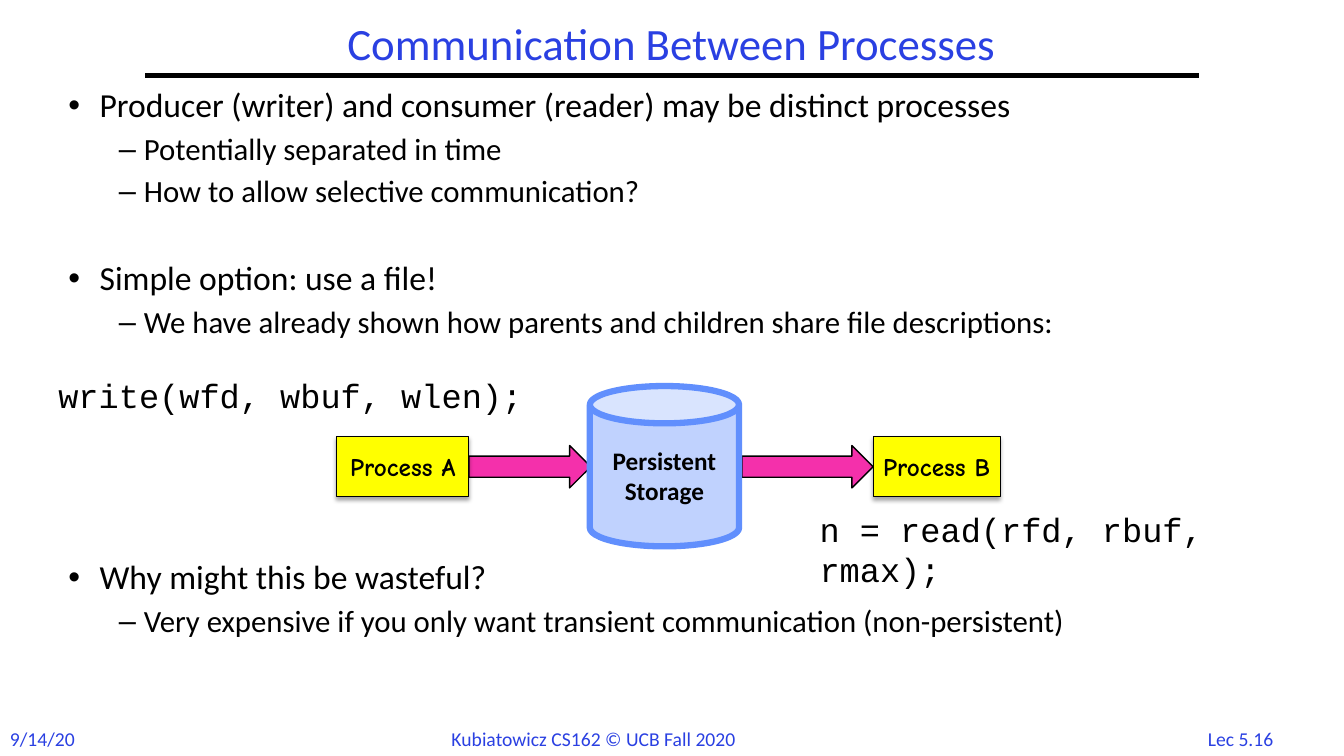
"""Build the slide on communication between processes."""
from lxml import etree
from pptx import Presentation
from pptx.dml.color import RGBColor
from pptx.enum.shapes import MSO_CONNECTOR, MSO_SHAPE
from pptx.enum.text import MSO_ANCHOR, PP_ALIGN
from pptx.oxml.ns import qn
from pptx.util import Inches, Pt

RECT, CAN, ARROW = MSO_SHAPE.RECTANGLE, MSO_SHAPE.CAN, MSO_SHAPE.RIGHT_ARROW
LINE = MSO_CONNECTOR.STRAIGHT
LEFT, CENTER = PP_ALIGN.LEFT, PP_ALIGN.CENTER
TOP, MIDDLE = MSO_ANCHOR.TOP, MSO_ANCHOR.MIDDLE
SANS, COMIC, MONO = "Calibri", "Comic Neue", "Courier New"
BLACK, BLUE, YELLOW, PINK = "000000", "2A40E2", "FFFF00", "F430AB"
PALE, EDGE = "C0D2FE", "618FFD"


def color(code):
    return RGBColor.from_string(code)


class Deck:
    def __init__(self):
        self.prs = Presentation()
        self.prs.slide_width, self.prs.slide_height = Inches(13.33), Inches(7.5)
        self.slide = self.prs.slides.add_slide(self.prs.slide_layouts[6])

    def add_text(self, para, text, size, font=SANS, ink=BLACK, bold=False):
        run = para.add_run()
        run.text = text
        run.font.size, run.font.name, run.font.bold = Pt(size), font, bold
        run.font.color.rgb = color(ink)

    def frame(self, box, wrap=True, anchor=TOP):
        frame = box.text_frame
        frame.word_wrap, frame.vertical_anchor = wrap, anchor
        return frame

    def label(self, place, text, size, font=SANS, ink=BLACK, align=LEFT,
              anchor=TOP, wrap=True, space=1.0):
        box = self.slide.shapes.add_textbox(*map(Inches, place))
        para = self.frame(box, wrap, anchor).paragraphs[0]
        para.alignment, para.line_spacing = align, space
        self.add_text(para, text, size, font, ink)

    def bullets(self, place, items):
        box = self.slide.shapes.add_textbox(*map(Inches, place))
        frame = self.frame(box)
        for i, (level, gap, text) in enumerate(items):
            para = frame.add_paragraph() if i else frame.paragraphs[0]
            left, hang, mark, size = [(0.31, 0.31, "•", 24), (0.75, 0.25, "–", 22)][level]
            para.level, para.line_spacing = level, 0.9
            if gap:
                para.space_before = Pt(gap)
            props = para._p.get_or_add_pPr()
            props.set("marL", str(Inches(left)))
            props.set("indent", str(-Inches(hang)))
            etree.SubElement(props, qn("a:buFont")).set("typeface", "Arial")
            etree.SubElement(props, qn("a:buChar")).set("char", mark)
            self.add_text(para, text, size)

    def shape(self, kind, place, fill, edge=BLACK, width=1.0):
        shape = self.slide.shapes.add_shape(kind, *map(Inches, place))
        shape.shadow.inherit = False
        shape.fill.solid()
        shape.fill.fore_color.rgb = color(fill)
        shape.line.color.rgb, shape.line.width = color(edge), Pt(width)
        return shape

    def node(self, kind, place, text, fill, font=SANS, edge=BLACK, width=0.75):
        shape = self.shape(kind, place, fill, edge, width)
        frame = self.frame(shape, anchor=MIDDLE)
        frame.margin_left = frame.margin_right = Inches(0.05)
        frame.paragraphs[0].alignment = CENTER
        self.add_text(frame.paragraphs[0], text, 18, font, bold=True)
        return shape

    def shade(self, shape):
        effects = shape._element.spPr.find(qn("a:effectLst"))
        cast = etree.SubElement(effects, qn("a:outerShdw"), blurRad=str(Pt(3.1)),
                                dist=str(Pt(1.8)), dir="5400000", rotWithShape="0")
        tint = etree.SubElement(cast, qn("a:srgbClr"), val=BLACK)
        etree.SubElement(tint, qn("a:alpha"), val="35000")

    def rule(self, left, right, y, width):
        line = self.slide.shapes.add_connector(
            LINE, Inches(left), Inches(y), Inches(right), Inches(y))
        line.line.color.rgb, line.line.width = color(BLACK), Pt(width)
        etree.SubElement(line._element.spPr, qn("a:effectLst"))


def main():
    deck = Deck()
    for left, width, text, align in [
            (11.82, 0.97, "Lec 5.16", CENTER),
            (0, 0.85, "9/14/20", LEFT),
            (4.38, 3.43, "Kubiatowicz CS162 © UCB Fall 2020", LEFT)]:
        deck.label((left, 7.16, width, 0.34), text, 14, ink=BLUE, align=align, wrap=False)
    deck.rule(1.44, 11.89, 0.75, 3)
    deck.bullets((0.58, 0.83, 12, 5.67), [
        (0, 0, "Producer (writer) and consumer (reader) may be distinct processes"),
        (1, 6.5, "Potentially separated in time"),
        (1, 6.5, "How to allow selective communication?"),
        (0, 37, "Simple option: use a file!"),
        (1, 6.5, "We have already shown how parents and children share file descriptions:"),
        (0, 157.5, "Why might this be wasteful?"),
        (1, 6.5, "Very expensive if you only want transient communication (non-persistent)")])
    deck.label((1.44, 0.17, 10.44, 0.58), "Communication Between Processes", 32,
               ink=BLUE, align=CENTER, anchor=MIDDLE, space=0.9)

    for left, width in [(4.65, 1.21), (7.36, 1.3)]:
        deck.shape(ARROW, (left, 4.42, width, 0.42), PINK)
    deck.label((0.48, 3.67, 5.11, 0.5), "write(wfd, wbuf, wlen);", 24, MONO)
    deck.label((8.03, 5, 5.05, 0.5), "n = read(rfd, rbuf, rmax);", 24, MONO)
    for left, width, text in [(3.34, 1.31, "Process A"), (8.66, 1.26, "Process B")]:
        deck.shade(deck.node(RECT, (left, 4.33, width, 0.6), text, YELLOW, COMIC))
    deck.node(CAN, (5.85, 3.83, 1.48, 1.59), "Persistent Storage", PALE, edge=EDGE, width=4.5)
    deck.prs.save("out.pptx")


if __name__ == "__main__":
    main()
